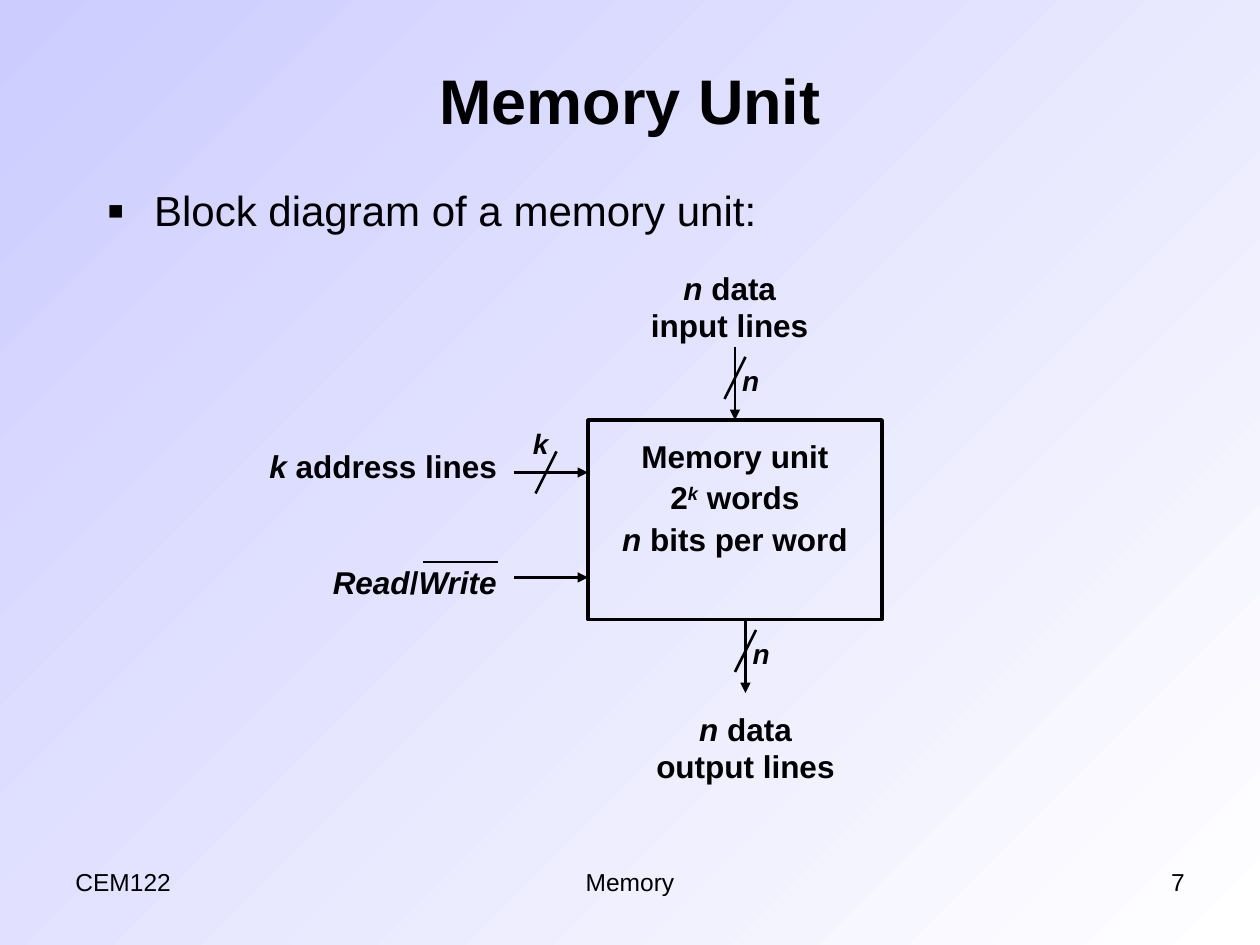
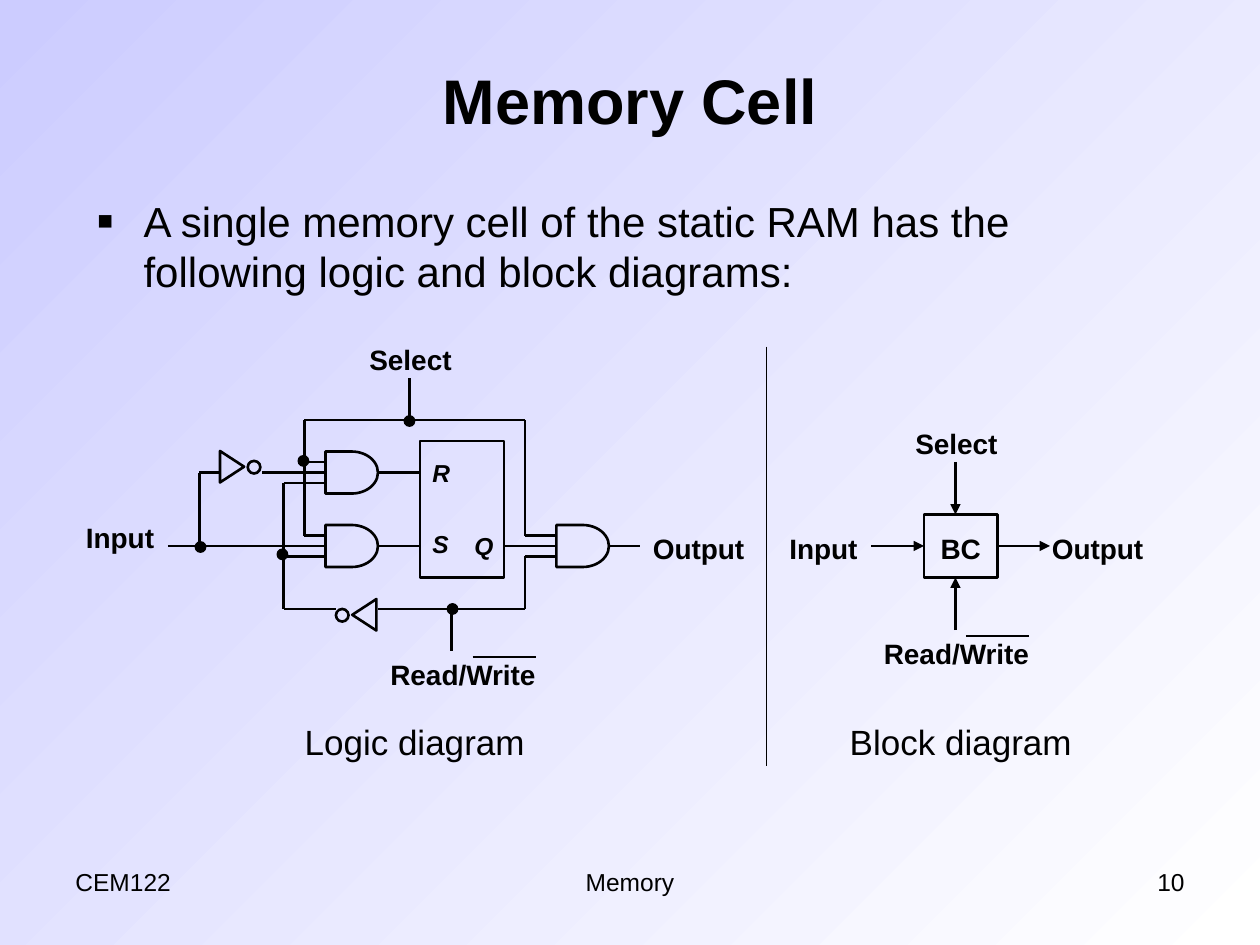
from itertools import pairwise
from typing import NamedTuple

from lxml.etree import SubElement
from pptx import Presentation
from pptx.dml.color import RGBColor
from pptx.enum.shapes import MSO_CONNECTOR as Connector, MSO_SHAPE as Preset
from pptx.enum.text import MSO_ANCHOR as Anchor, PP_ALIGN as Align
from pptx.oxml.ns import qn
from pptx.util import Emu, Pt

# Shared look: 120 px to the inch
EMU_PER_PX = 7620
PAGE_WIDTH, PAGE_HEIGHT = 1200, 900
FONT = "Arial"
BLACK = RGBColor(0x00, 0x00, 0x00)
LAVENDER = RGBColor(0xCC, 0xCC, 0xFF)
WHITE = RGBColor(0xFF, 0xFF, 0xFF)
WIRE, STROKE, FRAME, HAIRLINE = 1.25, 1.5, 2, 0.75


class Box(NamedTuple):
    left: int
    top: int
    width: int
    height: int


class Span(NamedTuple):
    text: str
    italic: bool = False
    raised: bool = False


class Label(NamedTuple):
    box: Box
    spans: list[Span]
    size: int = 16
    bold: bool = True
    align: Align = Align.CENTER


class Inverter(NamedTuple):
    triangle: Box
    bubble: Box
    rotation: int


Point = tuple[int, int]

TITLE_BOX = Box(90, 20, 1020, 150)
FOOTER_LEFT = Box(60, 820, 280, 62)
FOOTER_MIDDLE = Box(410, 820, 380, 62)
FOOTER_RIGHT = Box(860, 820, 280, 62)


def px(length: int) -> Emu:
    return Emu(length * EMU_PER_PX)


def place(box: Box) -> list[Emu]:
    return [px(length) for length in box]


# Drawing helpers
def add_text(page, box: Box, *paras: list[Span], size: float, bold: bool = False,
             align: Align = Align.LEFT, anchor: Anchor = Anchor.TOP,
             gap: float = 0, bullet: str = "", wrap: bool = True) -> None:
    frame = page.shapes.add_textbox(*place(box)).text_frame
    frame.word_wrap = wrap
    frame.vertical_anchor = anchor
    for index, spans in enumerate(paras):
        para = frame.paragraphs[0] if index == 0 else frame.add_paragraph()
        para.alignment = align
        if index:
            para.space_before = Pt(gap)
        if bullet:
            add_bullet(para, bullet)
        for span in spans:
            run = para.add_run()
            run.text = span.text
            font = run.font
            font.name, font.size = FONT, Pt(size)
            font.bold, font.italic = bold, span.italic
            font.color.rgb = BLACK
            if span.raised:
                run._r.get_or_add_rPr().set("baseline", "30000")


def add_bullet(para, bullet: str) -> None:
    properties = para._p.get_or_add_pPr()
    properties.set("marL", str(px(45)))
    properties.set("indent", str(px(-45)))
    SubElement(properties, qn("a:buSzPct")).set("val", "120000")
    SubElement(properties, qn("a:buFont")).set("typeface", FONT)
    SubElement(properties, qn("a:buChar")).set("char", bullet)


def add_label(page, label: Label) -> None:
    add_text(page, label.box, label.spans, size=label.size, bold=label.bold,
             align=label.align)


def add_line(page, start: Point, end: Point, width: float = STROKE,
             arrow: bool = False) -> None:
    ends = [px(length) for length in (*start, *end)]
    line = page.shapes.add_connector(Connector.STRAIGHT, *ends)
    line.line.color.rgb = BLACK
    line.line.width = Pt(width)
    if arrow:
        SubElement(line.line._get_or_add_ln(), qn("a:tailEnd")).set("type", "triangle")
    SubElement(line._element.spPr, qn("a:effectLst"))


def add_wire(page, *points: Point) -> None:
    for start, end in pairwise(points):
        add_line(page, start, end, WIRE)


def add_outline(page, preset: Preset, box: Box, width: float = STROKE,
                solid: bool = False, rotation: int = 0) -> None:
    shape = page.shapes.add_shape(preset, *place(box))
    shape.shadow.inherit = False
    shape.rotation = rotation
    if solid:
        shape.fill.solid()
        shape.fill.fore_color.rgb = BLACK
    else:
        shape.fill.background()
    shape.line.color.rgb = BLACK
    shape.line.width = Pt(width)


# Background, title, bullet and footers common to the slides
def add_page(deck, title: str, number: int, body: Box, sentence: str):
    page = deck.slides.add_slide(deck.slide_layouts[6])
    fill = page.background.fill
    fill.gradient()
    fill.gradient_angle = 315
    for stop, color, position in zip(fill.gradient_stops, (LAVENDER, WHITE), (0, 1)):
        stop.color.rgb = color
        stop.position = position
    footers = [
        (FOOTER_LEFT, "CEM122", Align.LEFT),
        (FOOTER_MIDDLE, "Memory", Align.CENTER),
        (FOOTER_RIGHT, str(number), Align.RIGHT),
    ]
    for box, text, align in footers:
        add_text(page, box, [Span(text)], size=14, align=align)
    add_text(page, TITLE_BOX, [Span(title)], size=36, bold=True,
             align=Align.CENTER, anchor=Anchor.MIDDLE)
    add_text(page, body, [Span(sentence)], size=24, bullet="▪")
    return page


# Slide: memory unit
def build_memory_unit(deck) -> None:
    page = add_page(deck, "Memory Unit", 7, Box(90, 170, 1010, 80),
                    "Block diagram of a memory unit:")
    add_outline(page, Preset.RECTANGLE, Box(560, 400, 280, 190), FRAME)
    add_text(page, Box(580, 410, 240, 127),
             [Span("Memory unit")],
             [Span("2"), Span("k", True, True), Span(" words")],
             [Span("n", True), Span(" bits per word")],
             size=18, bold=True, align=Align.CENTER, gap=2.2)

    arrows = [
        ((490, 450), (560, 450)),
        ((490, 550), (560, 550)),
        ((700, 330), (700, 400)),
        ((710, 590), (710, 660)),
    ]
    for start, end in arrows:
        add_line(page, start, end, arrow=True)
    for left, top in [(510, 430), (690, 340), (700, 600)]:
        add_line(page, (left + 20, top), (left, top + 40))
    add_wire(page, (403, 535), (474, 535))

    labels = [
        Label(Box(240, 420, 250, 48), [Span("k", True), Span(" address lines")], 18),
        Label(Box(300, 530, 190, 48),
              [Span("Read", True), Span("/"), Span("Write", True)], 18),
        Label(Box(600, 250, 190, 84), [Span("n", True), Span(" data input lines")], 18),
        Label(Box(610, 670, 200, 84), [Span("n", True), Span(" data output lines")], 18),
        Label(Box(490, 400, 50, 44), [Span("k", True)]),
        Label(Box(690, 340, 50, 44), [Span("n", True)]),
        Label(Box(700, 600, 50, 44), [Span("n", True)]),
    ]
    for label in labels:
        add_label(page, label)


# Slide: memory cell
def add_logic_diagram(page) -> None:
    wires = [
        # Select
        [(390, 360), (390, 400)],
        [(310, 510), (290, 510), (290, 400), (500, 400), (500, 510), (530, 510)],
        [(290, 440), (310, 440)],
        # Input
        [(160, 520), (310, 520)],
        [(190, 520), (190, 450), (210, 450)],
        [(250, 450), (310, 450)],
        # Read/Write
        [(430, 620), (430, 580)],
        [(360, 580), (500, 580), (500, 530), (530, 530)],
        [(320, 580), (270, 580), (270, 460), (310, 460)],
        [(270, 530), (310, 530)],
        # Latch and output
        [(360, 450), (400, 450)],
        [(360, 520), (400, 520)],
        [(480, 520), (530, 520)],
        [(580, 520), (610, 520)],
        # Bar over Write
        [(450, 626), (510, 626)],
    ]
    for points in wires:
        add_wire(page, *points)
    for x, y in [(289, 439), (269, 528), (390, 401), (431, 580), (191, 521)]:
        add_outline(page, Preset.OVAL, Box(x - 5, y - 5, 10, 10), HAIRLINE, solid=True)
    for left, top in [(310, 430), (310, 500), (530, 500)]:
        add_outline(page, Preset.FLOWCHART_DELAY, Box(left, top, 50, 40))
    inverters = [
        Inverter(Box(206, 433, 30, 23), Box(236, 439, 12, 12), 90),
        Inverter(Box(332, 574, 30, 23), Box(320, 580, 12, 12), 270),
    ]
    for inverter in inverters:
        add_outline(page, Preset.FLOWCHART_EXTRACT, inverter.triangle,
                    rotation=inverter.rotation)
        add_outline(page, Preset.OVAL, inverter.bubble)

    add_outline(page, Preset.RECTANGLE, Box(400, 420, 80, 130))
    add_text(page, Box(400, 430, 41, 108), [Span("R", True)], [Span("S", True)],
             size=14, bold=True, gap=24, wrap=False)
    add_label(page, Label(Box(440, 500, 40, 41), [Span("Q", True)], 14,
                          align=Align.LEFT))


def add_block_diagram(page) -> None:
    add_outline(page, Preset.RECTANGLE, Box(880, 490, 70, 60))
    add_label(page, Label(Box(880, 500, 70, 44), [Span("BC")]))
    arrows = [
        ((910, 440), (910, 490)),
        ((910, 600), (910, 550)),
        ((830, 520), (880, 520)),
        ((950, 520), (1000, 520)),
    ]
    for start, end in arrows:
        add_line(page, start, end, arrow=True)
    add_wire(page, (920, 606), (980, 606))


def build_memory_cell(deck) -> None:
    page = add_page(deck, "Memory Cell", 10, Box(80, 180, 1020, 110),
                    "A single memory cell of the static RAM has the "
                    "following logic and block diagrams:")
    add_logic_diagram(page)
    add_block_diagram(page)
    add_line(page, (730, 330), (730, 730), HAIRLINE)

    # Signal names with their width and their place in each diagram
    signals = [
        ("Input", 100, [(70, 490), (740, 500)]),
        ("Select", 110, [(340, 320), (860, 400)]),
        ("Output", 120, [(610, 500), (990, 500)]),
        ("Read/Write", 170, [(360, 620), (830, 600)]),
    ]
    for name, width, corners in signals:
        for left, top in corners:
            add_label(page, Label(Box(left, top, width, 44), [Span(name)],
                                  align=Align.LEFT))
    for left, caption in [(270, "Logic diagram"), (790, "Block diagram")]:
        add_label(page, Label(Box(left, 680, 250, 53), [Span(caption)], 20, bold=False))


def main() -> None:
    deck = Presentation()
    deck.slide_width, deck.slide_height = px(PAGE_WIDTH), px(PAGE_HEIGHT)
    build_memory_unit(deck)
    build_memory_cell(deck)
    deck.save("out.pptx")


if __name__ == "__main__":
    main()
